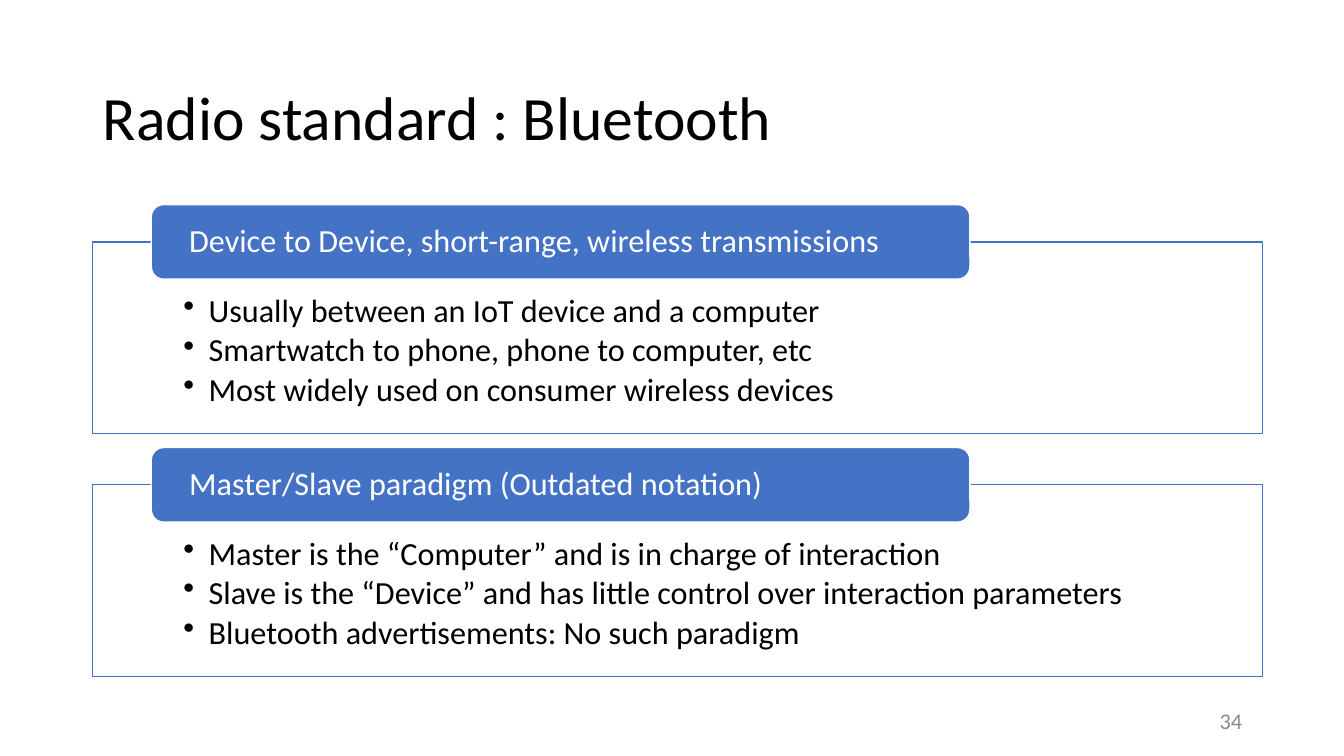
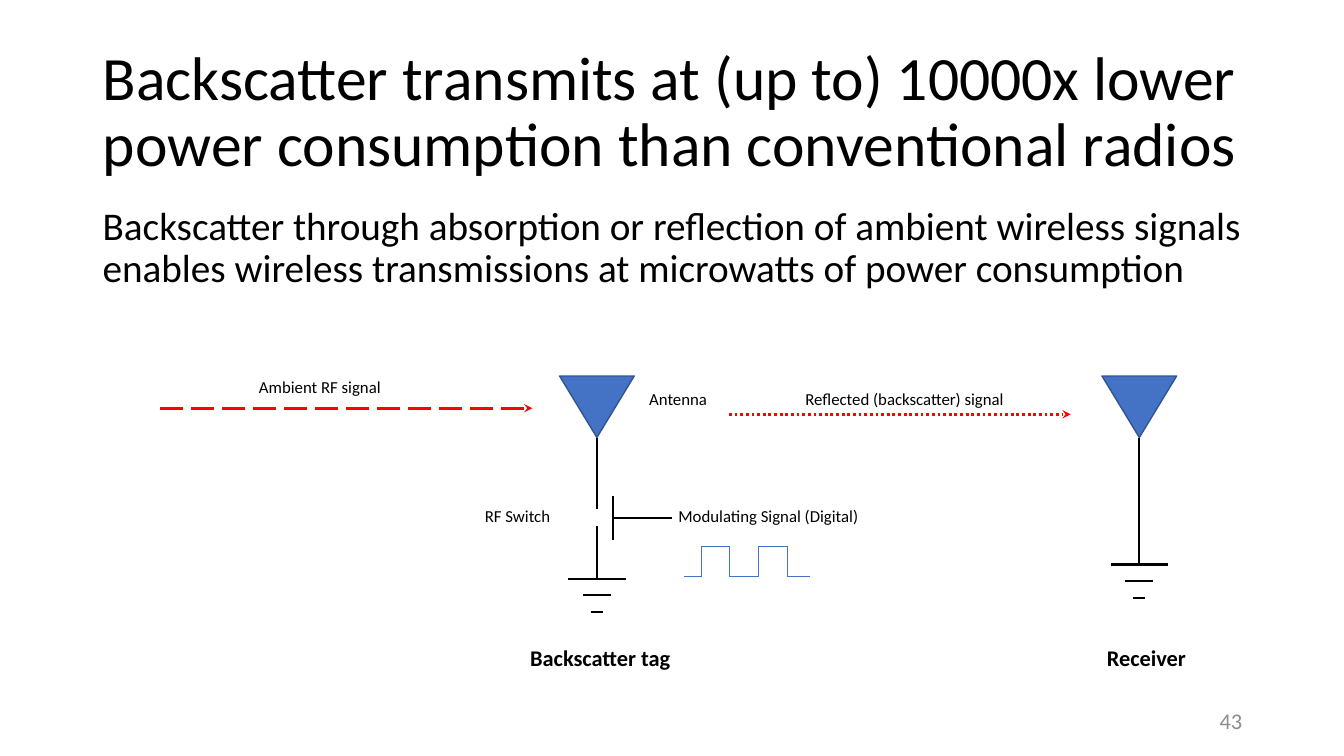
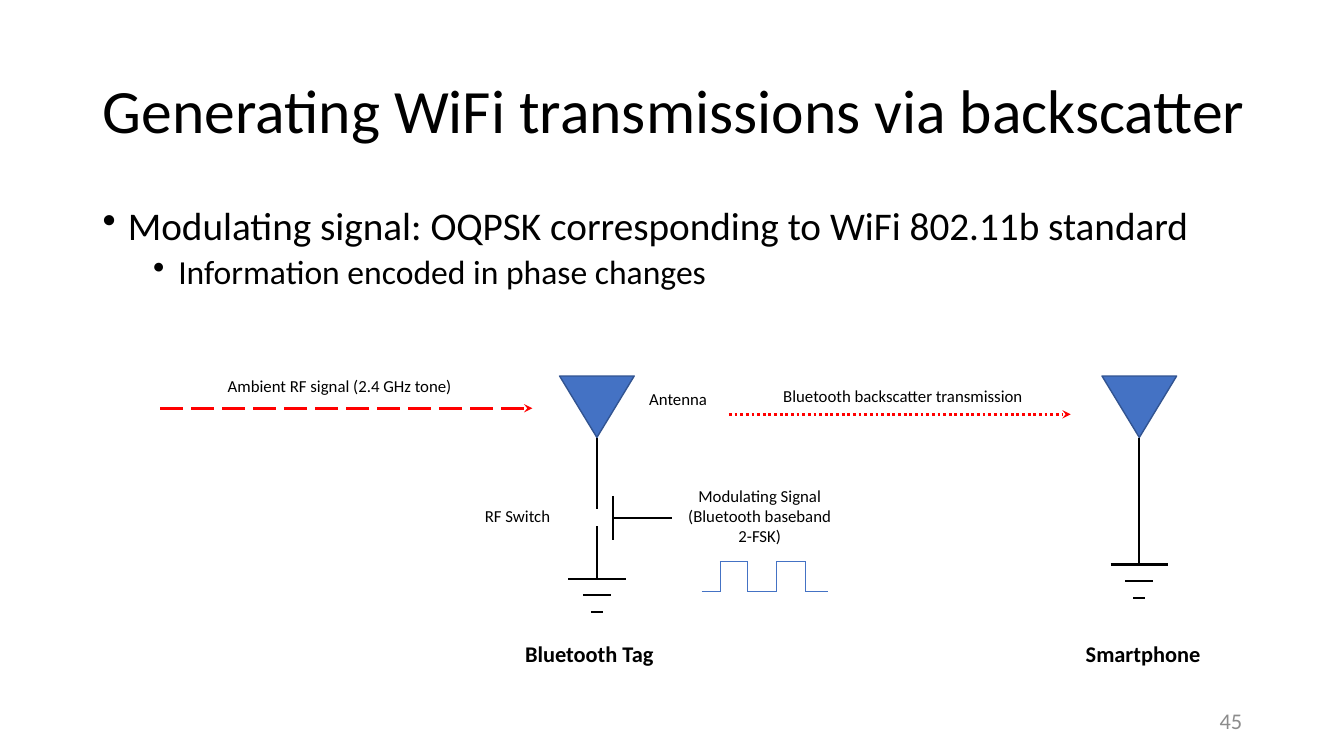
from itertools import pairwise

from pptx import Presentation
from pptx.dml.color import RGBColor
from pptx.enum.dml import MSO_LINE
from pptx.enum.shapes import MSO_CONNECTOR, MSO_SHAPE
from pptx.enum.text import MSO_ANCHOR, MSO_AUTO_SIZE, PP_ALIGN
from pptx.oxml.ns import qn
from pptx.util import Inches, Pt
from lxml import etree

LEFT, CENTER, RIGHT = PP_ALIGN.LEFT, PP_ALIGN.CENTER, PP_ALIGN.RIGHT
TOP, MIDDLE = MSO_ANCHOR.TOP, MSO_ANCHOR.MIDDLE
LONG_DASH, DOTTED = MSO_LINE.LONG_DASH, MSO_LINE.ROUND_DOT
BLACK, WHITE, GRAY, RED = "000000", "FFFFFF", "8C8C8C", "FF0000"
BLUE, DARK_BLUE = "4472C4", "325491"
FONT = "Calibri"
hex_color = RGBColor.from_string


def write(paragraph, text, size, color=BLACK, bold=False, align=LEFT,
          spacing=1.0, bullet_at=None):
    """Fill a paragraph; bullet_at is the indent of bulleted text in inches."""
    paragraph.text = text
    if bullet_at is not None:
        properties = paragraph._p.get_or_add_pPr()
        properties.set("marL", str(Inches(bullet_at)))
        properties.set("indent", str(Inches(-0.25)))
        etree.SubElement(properties, qn("a:buChar")).set("char", "•")
    paragraph.alignment = align
    paragraph.line_spacing = spacing
    paragraph.font.name = FONT
    paragraph.font.size = Pt(size)
    paragraph.font.bold = bold
    paragraph.font.color.rgb = hex_color(color)


def add_line(slide, start, end, color=BLACK, width=1.5, arrow_dash=None):
    """Draw a plain line, or a dashed arrow if arrow_dash is given."""
    line = slide.shapes.add_connector(
        MSO_CONNECTOR.STRAIGHT, *map(Inches, start + end))
    line.line.color.rgb = hex_color(color)
    line.line.width = Pt(width)
    if arrow_dash is not None:
        line.line.dash_style = arrow_dash
        outline = line.line._get_or_add_ln()
        etree.SubElement(outline, qn("a:tailEnd")).set("type", "stealth")
    etree.SubElement(line._element.spPr, qn("a:effectLst"))


prs = Presentation()
prs.slide_width, prs.slide_height = Inches(13.33), Inches(7.5)
title_only = prs.slide_layouts[5]

# Titles and page numbers
headings = [
    ("Radio standard : Bluetooth", "34", 0.47, 11.6),
    ("Backscatter transmits at (up to) 10000x lower power consumption than "
     "conventional radios", "43", 0.4, 11.5),
    ("Generating WiFi transmissions via backscatter", "45", 0.4, 11.95),
]
slides = []
for heading, page, top, width in headings:
    slide = prs.slides.add_slide(title_only)
    title = slide.shapes.title
    title.left, title.top = Inches(0.92), Inches(top)
    title.width, title.height = Inches(width), Inches(1.45)
    title.text_frame.vertical_anchor = MIDDLE
    title.text_frame.auto_size = MSO_AUTO_SIZE.NONE
    write(title.text_frame.paragraphs[0], heading, 44, spacing=0.9)

    number = slide.shapes.add_textbox(
        Inches(9.42), Inches(6.95), Inches(3), Inches(0.4)).text_frame
    number.word_wrap = True
    number.vertical_anchor = MIDDLE
    write(number.paragraphs[0], page, 16, GRAY, align=RIGHT)
    slides.append(slide)
bluetooth, backscatter, wifi = slides

# Bluetooth: framed lists with a header tab
topics = [
    ("Device to Device, short-range, wireless transmissions",
     ["Usually between an IoT device and a computer",
      "Smartwatch to phone, phone to computer, etc",
      "Most widely used on consumer wireless devices"]),
    ("Master/Slave paradigm (Outdated notation)",
     ["Master is the “Computer” and is in charge of interaction",
      "Slave is the “Device” and has little control over interaction parameters",
      "Bluetooth advertisements: No such paradigm"]),
]
for row, (topic, points) in enumerate(topics):
    top = 2.03 + 2.41 * row
    parts = [
        (MSO_SHAPE.RECTANGLE, (0.92, top + 0.37, 11.6, 1.9), WHITE, BLUE,
         (0.9, 0.52, 0.9, 0.18), TOP, points, BLACK, 0.25),
        (MSO_SHAPE.ROUNDED_RECTANGLE, (1.5, top, 8.12, 0.74), BLUE, WHITE,
         (0.34, 0, 0.34, 0), MIDDLE, [topic], WHITE, None),
    ]
    for kind, box, fill, edge, insets, anchor, lines, color, bullet_at in parts:
        panel = bluetooth.shapes.add_shape(kind, *map(Inches, box))
        panel.shadow.inherit = False
        panel.fill.solid()
        panel.fill.fore_color.rgb = hex_color(fill)
        panel.line.color.rgb = hex_color(edge)
        panel.line.width = Pt(1)
        frame = panel.text_frame
        (frame.margin_left, frame.margin_top,
         frame.margin_right, frame.margin_bottom) = map(Inches, insets)
        frame.vertical_anchor = anchor
        for i, text in enumerate(lines):
            paragraph = frame.paragraphs[0] if i == 0 else frame.add_paragraph()
            write(paragraph, text, 23, color, spacing=0.9, bullet_at=bullet_at)
            if bullet_at is not None:
                paragraph.space_after = Pt(3.5)

# Introductory text above the circuits
intros = [
    (backscatter, 11.5,
     [("Backscatter through absorption or reflection of ambient wireless signals "
       "enables wireless transmissions at microwatts of power consumption",
       28, None)]),
    (wifi, 11.89,
     [("Modulating signal: OQPSK corresponding to WiFi 802.11b standard", 28, 0.25),
      ("Information encoded in phase changes", 24, 0.75)]),
]
for slide, width, lines in intros:
    intro = slide.shapes.add_textbox(
        Inches(0.92), Inches(2), Inches(width), Inches(1.1)).text_frame
    intro.word_wrap = True
    for i, (text, size, bullet_at) in enumerate(lines):
        paragraph = intro.paragraphs[0] if i == 0 else intro.add_paragraph()
        write(paragraph, text, size, spacing=0.9, bullet_at=bullet_at)
        if i > 0:
            paragraph.space_before = Pt(5)

# Circuits: tag and receiver, with labels as (text, box, size, bold, alignment)
shared_labels = [
    ("RF Switch", (4.71, 4.97, 0.89, 0.3), 12, False, LEFT),
    ("Antenna", (6.34, 3.81, 0.89, 0.3), 12, False, LEFT),
]
circuits = [
    (backscatter, (6.78, 5.42), [
        ("Modulating Signal (Digital)", (6.63, 4.97, 2.11, 0.3), 12, False, LEFT),
        ("Ambient RF signal", (2.47, 3.69, 2.36, 0.3), 12, False, LEFT),
        ("Reflected (backscatter) signal", (7.89, 3.81, 2.36, 0.3), 12, False, LEFT),
        ("Backscatter tag", (5.16, 6.34, 1.76, 0.37), 16, True, LEFT),
        ("Receiver", (10.88, 6.34, 1.26, 0.37), 16, True, LEFT),
    ]),
    (wifi, (6.96, 5.57), [
        ("Modulating Signal (Bluetooth baseband 2-FSK)",
         (6.67, 4.77, 1.73, 0.71), 12, False, CENTER),
        ("Ambient RF signal (2.4 GHz tone)", (2.16, 3.68, 2.88, 0.3), 12, False, LEFT),
        ("Bluetooth backscatter transmission",
         (7.67, 3.78, 2.8, 0.3), 12, False, LEFT),
        ("Bluetooth Tag", (5.11, 6.3, 1.76, 0.37), 16, True, LEFT),
        ("Smartphone", (10.67, 6.3, 1.51, 0.37), 16, True, LEFT),
    ]),
]
TAG_X, RECEIVER_X, SWITCH_X = 5.92, 11.3, 6.08
ANTENNA_BOTTOM = 4.35
GROUND_HALF_WIDTHS = (0.285, 0.14, 0.06)
PULSE_EDGES = (0.18, 0.45, 0.74, 1.03)
PULSE_HEIGHT, PULSE_LENGTH = 0.3, 1.25

for slide, (pulse_x, pulse_y), labels in circuits:
    for antenna_x, ground_y in ((TAG_X, 5.74), (RECEIVER_X, 5.6)):
        antenna = slide.shapes.add_shape(
            MSO_SHAPE.ISOSCELES_TRIANGLE, Inches(antenna_x - 0.37), Inches(3.73),
            Inches(0.74), Inches(0.61))
        antenna.rotation = 180
        antenna.shadow.inherit = False
        antenna.fill.solid()
        antenna.fill.fore_color.rgb = hex_color(BLUE)
        antenna.line.color.rgb = hex_color(DARK_BLUE)
        antenna.line.width = Pt(1)
        for i, half in enumerate(GROUND_HALF_WIDTHS):
            bar_y = ground_y + 0.165 * i
            add_line(slide, (antenna_x - half, bar_y), (antenna_x + half, bar_y))

    wires = [
        ((TAG_X, ANTENNA_BOTTOM), (TAG_X, 5.05)),
        ((TAG_X, 5.22), (TAG_X, 5.74)),
        ((SWITCH_X, 4.92), (SWITCH_X, 5.36)),
        ((SWITCH_X, 5.14), (6.67, 5.14)),
        ((RECEIVER_X, ANTENNA_BOTTOM), (RECEIVER_X, 5.6)),
    ]
    for start, end in wires:
        add_line(slide, start, end)
    add_line(slide, (1.59, 4.05), (5.28, 4.05), RED, 2, LONG_DASH)
    add_line(slide, (7.23, 4.11), (10.62, 4.11), RED, 2, DOTTED)

    # The square wave switches level at each edge
    high, low = pulse_y, pulse_y + PULSE_HEIGHT
    wave = [(pulse_x, low)]
    for i, edge in enumerate(PULSE_EDGES):
        before, after = (low, high) if i % 2 == 0 else (high, low)
        wave += [(pulse_x + edge, before), (pulse_x + edge, after)]
    wave.append((pulse_x + PULSE_LENGTH, low))
    for start, end in pairwise(wave):
        add_line(slide, start, end, BLUE, 0.5)

    for text, box, size, bold, align in shared_labels + labels:
        label = slide.shapes.add_textbox(*map(Inches, box)).text_frame
        label.word_wrap = True
        write(label.paragraphs[0], text, size, bold=bold, align=align)

prs.save("out.pptx")
